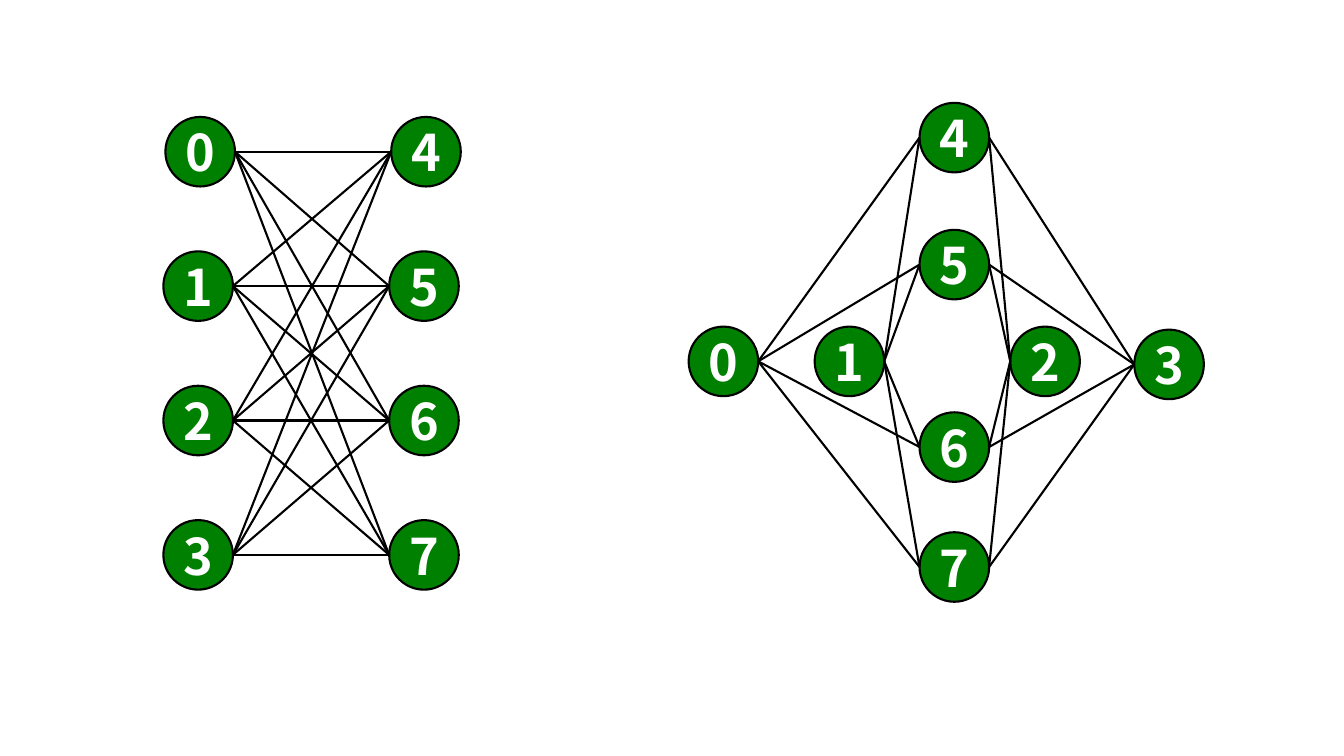
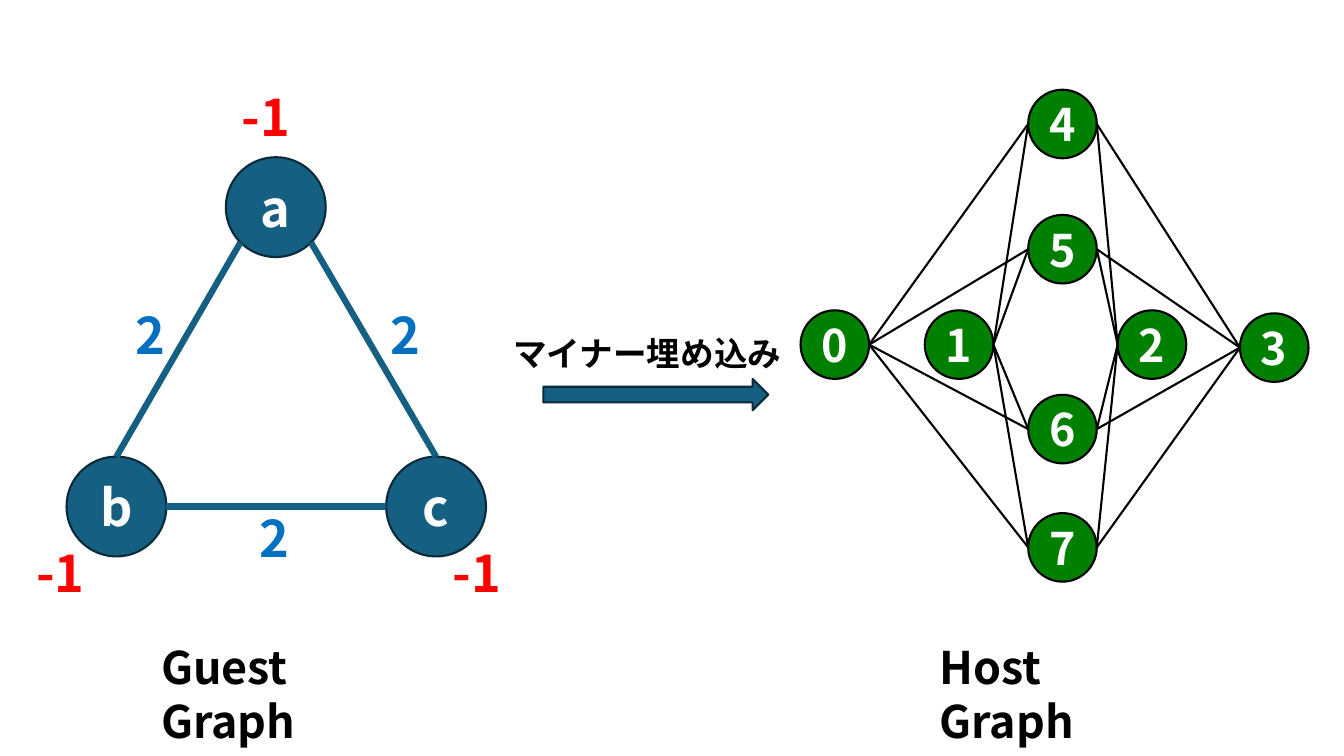
import math
import lxml.etree
import pptx
import pptx.dml.color
import pptx.enum.shapes
import pptx.enum.text
import pptx.oxml.ns
import pptx.util

Inches = pptx.util.Inches
Pt = pptx.util.Pt
Shape = pptx.enum.shapes.MSO_SHAPE
qn = pptx.oxml.ns.qn

FONT = "Noto Sans CJK SC"
GREEN, TEAL, NAVY = "008000", "156082", "092A39"
BLACK, WHITE, BLUE, RED = "000000", "FFFFFF", "0070C0", "FF0000"

# Connection sites of an ellipse, counted from the top against the clock
TOP, LEFT, LOWLEFT, LOWRIGHT, RIGHT = 0, 2, 3, 5, 6


def color(code):
    return pptx.dml.color.RGBColor.from_string(code)


def write(frame, text, size=36, ink=BLACK, align=pptx.enum.text.PP_ALIGN.LEFT):
    para = frame.paragraphs[0]
    para.alignment = align
    run = para.add_run()
    run.text = text
    font = run.font
    font.name, font.size, font.bold = FONT, Pt(size), True
    font.color.rgb = color(ink)
    # Japanese text takes its font from the East Asian slot
    props = run._r.get_or_add_rPr()
    lxml.etree.SubElement(props, qn("a:ea")).set("typeface", FONT)


def spot(node, site):
    """Point on the rim of a round node at a connection site."""
    angle = math.radians(90 + 45 * site)
    half = node.width / 2
    return (round(node.left + half + half * math.cos(angle)),
            round(node.top + half - half * math.sin(angle)))


class Deck:
    def __init__(self):
        self.prs = pptx.Presentation()
        self.prs.slide_width = Inches(13.33)
        self.prs.slide_height = Inches(7.5)

    def page(self):
        self.slide = self.prs.slides.add_slide(self.prs.slide_layouts[6])
        self.area = self.slide.shapes

    def group(self):
        self.area = self.slide.shapes.add_group_shape().shapes

    def ungroup(self):
        self.area = self.slide.shapes

    def shape(self, kind, x, y, w, h, fill, edge):
        item = self.area.add_shape(kind, Inches(x), Inches(y), Inches(w), Inches(h))
        item.shadow.inherit = False
        item.fill.solid()
        item.fill.fore_color.rgb = color(fill)
        item.line.color.rgb = color(edge)
        item.line.width = Pt(1.5)
        return item

    def node(self, text, x, y, wide, fill=GREEN, edge=BLACK, size=36):
        item = self.shape(Shape.OVAL, x, y, wide, wide, fill, edge)
        frame = item.text_frame
        frame.margin_left = frame.margin_right = 0
        frame.margin_top = frame.margin_bottom = 0
        frame.vertical_anchor = pptx.enum.text.MSO_ANCHOR.MIDDLE
        write(frame, text, size=size, ink=WHITE, align=pptx.enum.text.PP_ALIGN.CENTER)
        return item

    def edge(self, start, out, end, into, ink=BLACK, width=1.5):
        line = self.area.add_connector(pptx.enum.shapes.MSO_CONNECTOR.STRAIGHT,
                                       *spot(start, out), *spot(end, into))
        line.line.color.rgb = color(ink)
        line.line.width = Pt(width)
        lxml.etree.SubElement(line.element.spPr, qn("a:effectLst"))
        # Join both ends to the round nodes
        props = line.element.find(".//" + qn("p:cNvCxnSpPr"))
        for tag, node, site in (("a:stCxn", start, out), ("a:endCxn", end, into)):
            join = lxml.etree.SubElement(props, qn(tag))
            join.set("id", str(node.shape_id))
            join.set("idx", str(site))

    def label(self, text, x, y, w, h, size=36, ink=BLACK):
        box = self.area.add_textbox(Inches(x), Inches(y), Inches(w), Inches(h))
        box.text_frame.word_wrap = True
        write(box.text_frame, text, size=size, ink=ink)

    # Two columns of nodes, each left node linked to each right one
    def columns(self):
        self.group()
        nodes = []
        for num in range(8):
            side, row = divmod(num, 4)
            x = 1.62 + 2.24 * side + (0.02 if row == 0 else 0)
            nodes.append(self.node(str(num), x, 1.16 + row * 4 / 3, 0.69))
        for west in nodes[:4]:
            for east in nodes[4:]:
                self.edge(west, RIGHT, east, LEFT)

    # The same graph as a diamond: 0 to 3 across, 4 to 7 down
    def diamond(self, x, y, scale=1.0, size=36):
        self.group()
        spots = [(0, 2.22), (1.25, 2.22), (3.19, 2.22), (4.42, 2.25)]
        spots += [(2.29, down) for down in (0, 1.26, 3.07, 4.26)]
        nodes = [self.node(str(num), x + dx * scale, y + dy * scale,
                           0.69 * scale, size=size)
                 for num, (dx, dy) in enumerate(spots)]
        for num, cross in enumerate(nodes[:4]):
            for mid in nodes[4:]:
                if num < 2:
                    self.edge(cross, RIGHT, mid, LEFT)
                else:
                    self.edge(mid, RIGHT, cross, LEFT)

    # Weighted graph of three nodes
    def triangle(self):
        self.group()
        a, b, c = [self.node(name, x, y, 0.99, fill=TEAL, edge=NAVY)
                   for name, x, y in (("a", 2.24, 1.56), ("b", 0.66, 4.53),
                                      ("c", 3.83, 4.53))]
        for ends in ((a, LOWRIGHT, c, TOP), (a, LOWLEFT, b, TOP), (c, LEFT, b, RIGHT)):
            self.edge(*ends, ink=TEAL, width=4.5)
        for x, y in ((3.77, 2.97), (1.25, 2.97), (2.48, 4.98)):
            self.label("2", x, y, 0.52, 0.75, ink=BLUE)
        for x, y in ((2.3, 0.8), (0.26, 5.33), (4.39, 5.33)):
            self.label("-1", x, y, 0.78, 0.75, ink=RED)


def main():
    deck = Deck()

    # Slide 1: one graph drawn in two ways
    deck.page()
    deck.columns()
    deck.diamond(6.83, 1.02)

    # Slide 2: guest graph embedded in the host graph
    deck.page()
    deck.diamond(7.94, 0.89, scale=0.986, size=32)
    deck.triangle()
    deck.ungroup()
    deck.shape(Shape.RIGHT_ARROW, 5.39, 3.76, 2.23, 0.31, TEAL, NAVY)
    deck.label("マイナー埋め込み", 4.99, 3.25, 2.89, 0.5, size=24)
    deck.label("Guest Graph", 1.5, 6.3, 2.74, 0.64, size=32)
    deck.label("Host Graph", 9.22, 6.3, 2.52, 0.64, size=32)

    deck.prs.save("out.pptx")


if __name__ == "__main__":
    main()
